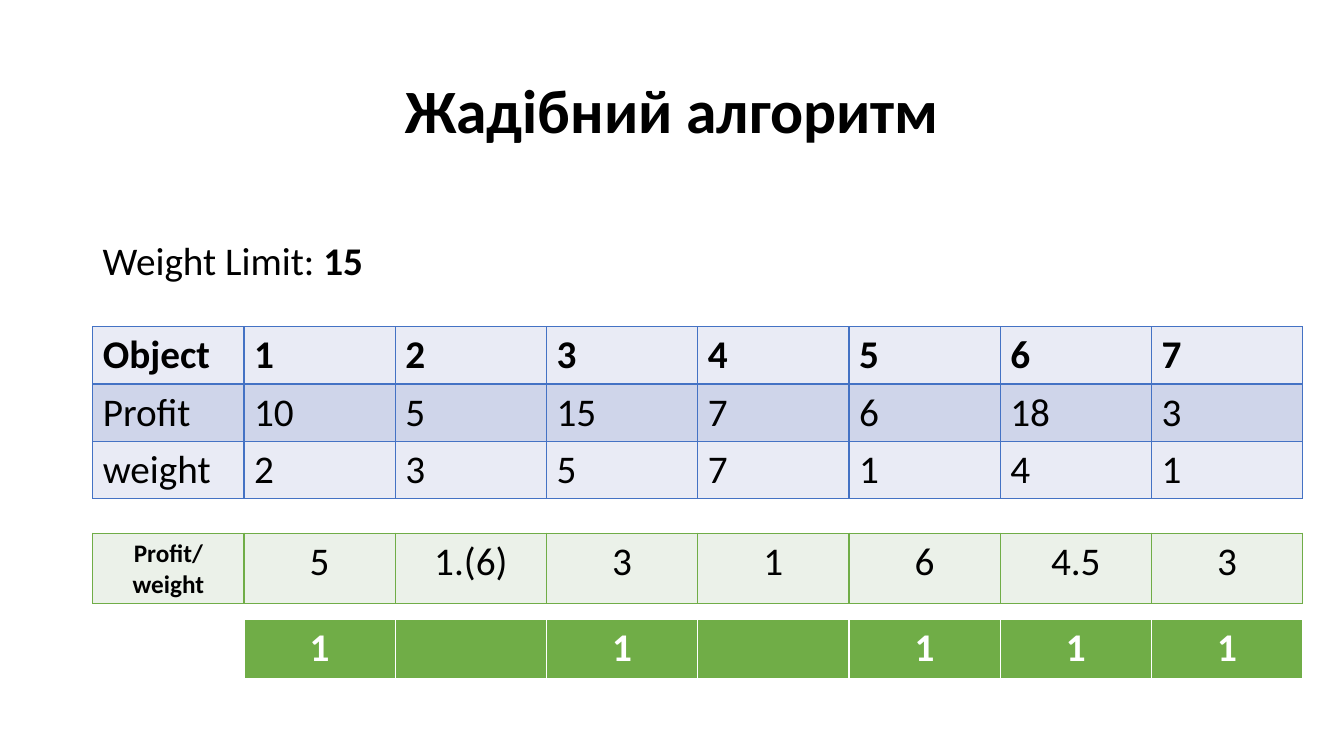
from dataclasses import dataclass

from lxml import etree
from pptx import Presentation
from pptx import util as u
from pptx.dml import color
from pptx.enum import text
from pptx.oxml import ns


@dataclass(frozen=True)
class Theme:
    font: str = "Calibri"
    title_size: int = 44
    body_size: int = 28
    label_size: int = 18
    ink: str = "000000"
    white: str = "FFFFFF"
    blue: str = "4472C4"
    blue_light: str = "E9EBF5"
    blue_band: str = "CFD5EA"
    green: str = "70AD47"
    green_light: str = "EBF1E9"


THEME = Theme()
LEFT, COLUMN = 0.92, 1.5
CENTER = text.PP_ALIGN.CENTER

OBJECTS = [
    ["Object", "1", "2", "3", "4", "5", "6", "7"],
    ["Profit", "10", "5", "15", "7", "6", "18", "3"],
    ["weight", "2", "3", "5", "7", "1", "4", "1"],
]
RATIOS = ["Profit/\nweight", "5", "1.(6)", "3", "1", "6", "4.5", "3"]
CHOSEN = ["1", "", "1", "", "1", "1", "1"]


def write(para, words, size=THEME.body_size, ink=THEME.ink, bold=False, align=None):
    """Add one formatted span to a paragraph."""
    if align is not None:
        para.alignment = align
    span = para.add_run()
    span.text = words
    span.font.name = THEME.font
    span.font.size = u.Pt(size)
    span.font.bold = bold
    span.font.color.rgb = color.RGBColor.from_string(ink)


def set_borders(cell, ink, bottom=1):
    """Draw all four sides of a cell; widths are in points."""
    properties = cell._tc.get_or_add_tcPr()
    for side, width in (("L", 1), ("R", 1), ("T", 1), ("B", bottom)):
        line = etree.SubElement(properties, ns.qn(f"a:ln{side}"), w=str(u.Pt(width)))
        fill = etree.SubElement(line, ns.qn("a:solidFill"))
        etree.SubElement(fill, ns.qn("a:srgbClr"), val=ink)


def add_grid(page, rows, left, top, row_height, border, bottom=1):
    """Add a table with equal columns and plain borders."""
    count = len(rows[0])
    frame = page.shapes.add_table(
        len(rows), count, u.Inches(left), u.Inches(top),
        u.Inches(COLUMN * count), u.Inches(row_height * len(rows)))
    table = frame.table
    table.first_row = table.horz_banding = False
    for cell in table.iter_cells():
        set_borders(cell, border, bottom)
    return table


def fill_row(table, index, values, fill, label_size=THEME.body_size,
             label_bold=False, **style):
    """Fill one row; its first cell may have its own size and weight."""
    for column, value in enumerate(values):
        cell = table.cell(index, column)
        cell.fill.solid()
        cell.fill.fore_color.rgb = color.RGBColor.from_string(fill)
        form = dict(style)
        if column == 0:
            form["size"] = label_size
            form["bold"] = label_bold or style.get("bold", False)
        for number, words in enumerate(value.split("\n") if value else []):
            frame = cell.text_frame
            para = frame.paragraphs[0] if number == 0 else frame.add_paragraph()
            write(para, words, **form)


def add_title(page, left, top, width, height):
    title = page.shapes.title
    title.left, title.top = u.Inches(left), u.Inches(top)
    title.width, title.height = u.Inches(width), u.Inches(height)
    frame = title.text_frame
    frame.vertical_anchor = text.MSO_ANCHOR.MIDDLE
    para = frame.paragraphs[0]
    para.line_spacing = 0.9
    write(para, "Жадібний алгоритм", size=THEME.title_size, bold=True, align=CENTER)


def add_limit(page, left, top, width, height):
    box = page.shapes.add_textbox(
        u.Inches(left), u.Inches(top), u.Inches(width), u.Inches(height))
    box.text_frame.word_wrap = False
    box.text_frame.auto_size = text.MSO_AUTO_SIZE.SHAPE_TO_FIT_TEXT
    para = box.text_frame.paragraphs[0]
    write(para, "Weight Limit: ")
    write(para, "15", bold=True)


def add_objects(page, left, top):
    table = add_grid(page, OBJECTS, left, top, 0.57, THEME.blue)
    for index, values in enumerate(OBJECTS):
        fill = THEME.blue_band if index % 2 else THEME.blue_light
        fill_row(table, index, values, fill, bold=index == 0)


def add_ratios(page, left, top):
    table = add_grid(page, [RATIOS], left, top, 0.7, THEME.green)
    fill_row(table, 0, RATIOS, THEME.green_light, align=CENTER,
             label_size=THEME.label_size, label_bold=True)


def add_chosen(page, left, top):
    table = add_grid(page, [CHOSEN], left, top, 0.6, THEME.white, bottom=3)
    fill_row(table, 0, CHOSEN, THEME.green, ink=THEME.white, bold=True, align=CENTER)


def main():
    deck = Presentation()
    deck.slide_width, deck.slide_height = u.Inches(13.33), u.Inches(7.5)
    page = deck.slides.add_slide(deck.slide_layouts.get_by_name("Title Only"))

    # Heading and weight limit
    add_title(page, LEFT, 0.4, 11.5, 1.45)
    add_limit(page, LEFT, 2.3, 2.81, 0.57)

    # Objects, their ratios and the greedy choice
    add_objects(page, LEFT, 3.24)
    add_ratios(page, LEFT, 5.29)
    add_chosen(page, LEFT + COLUMN, 6.14)

    deck.save("out.pptx")


if __name__ == "__main__":
    main()
